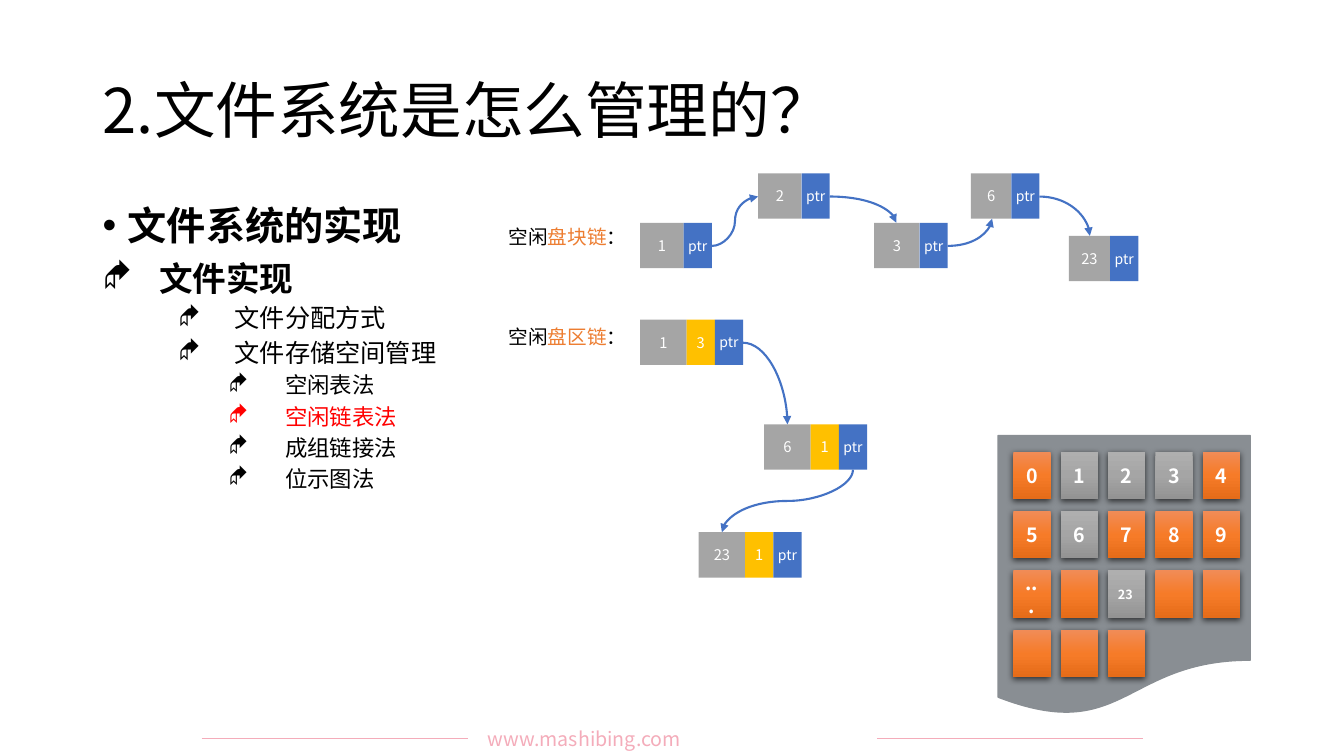
from copy import deepcopy
from lxml.etree import SubElement
from pptx import Presentation
from pptx.dml.color import RGBColor
from pptx.enum.shapes import MSO_CONNECTOR, MSO_SHAPE
from pptx.enum.text import MSO_ANCHOR, PP_ALIGN
from pptx.oxml.ns import qn
from pptx.util import Inches, Pt

FONT = "Noto Sans CJK SC"
COLORS = {
    "black": "000000", "white": "FFFFFF", "red": "FF0000", "pink": "F4ACBA",
    "orange": "ED7D31", "gray": "A5A5A5", "blue": "4472C4", "gold": "FFC000",
    "disk": "898E93",
}
GRADIENTS = {
    "used": ["F18C57", "F67B28", "E56C19"],
    "free": ["AFAFAF", "A5A5A5", "939393"],
}

prs = Presentation()
prs.slide_width, prs.slide_height = Inches(13.33), Inches(7.5)
s = prs.slides.add_slide(prs.slide_layouts[6])


def write(p, text, size=14, color="black", bold=False, align=None):
    r = p.add_run()
    r.text = text
    r.font.name = FONT
    r.font.size = Pt(size)
    r.font.bold = bold
    r.font.color.rgb = RGBColor.from_string(COLORS[color])
    SubElement(r.font._element, qn("a:ea")).set("typeface", FONT)
    if align is not None:
        p.alignment = align


def add_block(x, y, w, h, color, preset=MSO_SHAPE.RECTANGLE):
    sp = s.shapes.add_shape(preset, Inches(x), Inches(y), Inches(w), Inches(h))
    sp.shadow.inherit = False
    sp.fill.solid()
    sp.fill.fore_color.rgb = RGBColor.from_string(COLORS[color])
    sp.line.fill.background()
    sp.text_frame.vertical_anchor = MSO_ANCHOR.MIDDLE
    return sp


title = s.shapes.add_textbox(Inches(0.92), Inches(0.4), Inches(11.5), Inches(1.45))
tf = title.text_frame
tf.word_wrap = True
tf.vertical_anchor = MSO_ANCHOR.MIDDLE
tf.paragraphs[0].line_spacing = 0.9
write(tf.paragraphs[0], "2.文件系统是怎么管理的？", size=44)

outline = [
    ("文件系统的实现", 28, 0.25, 0.25, 0, "•", "black"),
    ("文件实现", 24, 0.56, 0.56, 10, "◆", "black"),
    ("文件分配方式", 18, 1.31, 0.56, 5, "◆", "black"),
    ("文件存储空间管理", 18, 1.31, 0.56, 5, "◆", "black"),
    ("空闲表法", 16, 1.81, 0.56, 5, "◆", "black"),
    ("空闲链表法", 16, 1.81, 0.56, 5, "◆", "red"),
    ("成组链接法", 16, 1.81, 0.56, 5, "◆", "black"),
    ("位示图法", 16, 1.81, 0.56, 5, "◆", "black"),
]
body = s.shapes.add_textbox(Inches(0.92), Inches(2), Inches(11.5), Inches(5.1))
tf = body.text_frame
tf.word_wrap = True
for i, (text, size, margin, hanging, before, bullet, color) in enumerate(outline):
    p = tf.add_paragraph() if i else tf.paragraphs[0]
    p.line_spacing = 0.9
    p.space_before = Pt(before)
    pPr = p._p.get_or_add_pPr()
    pPr.set("marL", str(Inches(margin)))
    pPr.set("indent", str(-Inches(hanging)))
    bullet_font = "Wingdings" if bullet == "◆" else "Arial"
    SubElement(pPr, qn("a:buFont")).set("typeface", bullet_font)
    SubElement(pPr, qn("a:buChar")).set("char", bullet)
    write(p, text, size=size, color=color, bold=size > 18)

disk = add_block(9.9, 4.32, 2.5, 2.78, "disk", MSO_SHAPE.FLOWCHART_DOCUMENT)
disk.line.color.rgb = RGBColor.from_string(COLORS["disk"])
disk.line.width = Pt(1)

disk_labels = [*"0123456789", "...", "", "23", "", "", "", "", ""]
free_blocks = {"1", "2", "3", "6", "23"}
for i, label in enumerate(disk_labels):
    row, col = divmod(i, 5)
    sp = add_block(10.05 + 0.47 * col, 4.48 + 0.59 * row, 0.37, 0.47, "gray")
    sp.fill.gradient()
    sp.fill.gradient_angle = 270
    stop_list = sp._element.spPr.find(".//" + qn("a:gsLst"))
    stop_list.append(deepcopy(stop_list[0]))
    shades = GRADIENTS["free" if label in free_blocks else "used"]
    for stop, position, shade in zip(sp.fill.gradient_stops, (0, 0.5, 1), shades):
        stop.position = position
        stop.color.rgb = RGBColor.from_string(shade)
    shadow = SubElement(sp._element.spPr.find(qn("a:effectLst")), qn("a:outerShdw"),
                        blurRad=str(Pt(4.5)), dist=str(Pt(1.5)), dir="5400000",
                        algn="ctr", rotWithShape="0")
    shadow_color = SubElement(shadow, qn("a:srgbClr"), val=COLORS["black"])
    SubElement(shadow_color, qn("a:alpha"), val="63000")
    if label:
        small = label == "23"
        write(sp.text_frame.paragraphs[0], label, size=9 if small else 14,
              color="white", bold=True,
              align=PP_ALIGN.LEFT if small else PP_ALIGN.CENTER)

for y, kind in [(2.18, "盘块链"), (3.17, "盘区链")]:
    label = s.shapes.add_textbox(Inches(4.89), Inches(y), Inches(1.28), Inches(0.34))
    label.text_frame.word_wrap = False
    p = label.text_frame.paragraphs[0]
    write(p, "空闲", align=PP_ALIGN.CENTER)
    write(p, kind, color="orange")
    write(p, "：")

nodes = [
    (6.35, 2.21, 0.43, "1", None),
    (7.52, 1.72, 0.43, "2", None),
    (8.67, 2.21, 0.45, "3", None),
    (9.63, 1.72, 0.4, "6", None),
    (10.6, 2.34, 0.41, "23", None),
    (6.35, 3.17, 0.46, "1", "3"),
    (7.58, 4.21, 0.46, "6", "1"),
    (6.93, 5.28, 0.46, "23", "1"),
]
for x, y, width, start, count in nodes:
    parts = [(start, width, "gray"), (count, 0.28, "gold"), ("ptr", 0.28, "blue")]
    for text, w, color in parts:
        if text is None:
            continue
        sp = add_block(x, y, w, 0.45, color)
        tf = sp.text_frame
        if text == "ptr":
            tf.margin_left = tf.margin_right = Inches(0.04)
        write(tf.paragraphs[0], text, size=10 if text == "ptr" else 10.5,
              color="white", align=PP_ALIGN.CENTER)
        x += w

links = [
    (7.06, 2.44, 7.52, 1.95, "curvedConnector3", 0),
    (8.23, 1.95, 8.89, 2.21, "curvedConnector2", 0),
    (9.4, 2.44, 9.84, 2.17, "curvedConnector2", 0),
    (10.31, 1.95, 10.81, 2.34, "curvedConnector2", 0),
    (7.37, 3.4, 7.81, 4.21, "curvedConnector2", 0),
    (7.5, 4.32, 8.12, 5.62, "curvedConnector3", 90),
    (2, 7.33, 4.64, 7.33, "line", 0),
    (8.7, 7.33, 11.34, 7.33, "line", 0),
]
for x1, y1, x2, y2, preset, turn in links:
    curved = preset != "line"
    link = s.shapes.add_connector(
        MSO_CONNECTOR.CURVE if curved else MSO_CONNECTOR.STRAIGHT,
        Inches(x1), Inches(y1), Inches(x2), Inches(y2))
    link.line.color.rgb = RGBColor.from_string(COLORS["blue" if curved else "pink"])
    link.line.width = Pt(1.5 if curved else 0.5)
    spPr = link._element.spPr
    spPr.find(qn("a:prstGeom")).set("prst", preset)
    if turn:
        spPr.find(qn("a:xfrm")).set("rot", str(turn * 60000))
    if curved:
        SubElement(spPr.find(qn("a:ln")), qn("a:tailEnd"), type="triangle")
    SubElement(spPr, qn("a:effectLst"))

footer = s.shapes.add_textbox(Inches(4.74), Inches(7.16), Inches(3.85), Inches(0.34))
footer.text_frame.word_wrap = True
write(footer.text_frame.paragraphs[0], "www.mashibing.com", color="pink",
      align=PP_ALIGN.JUSTIFY)

prs.save("out.pptx")
